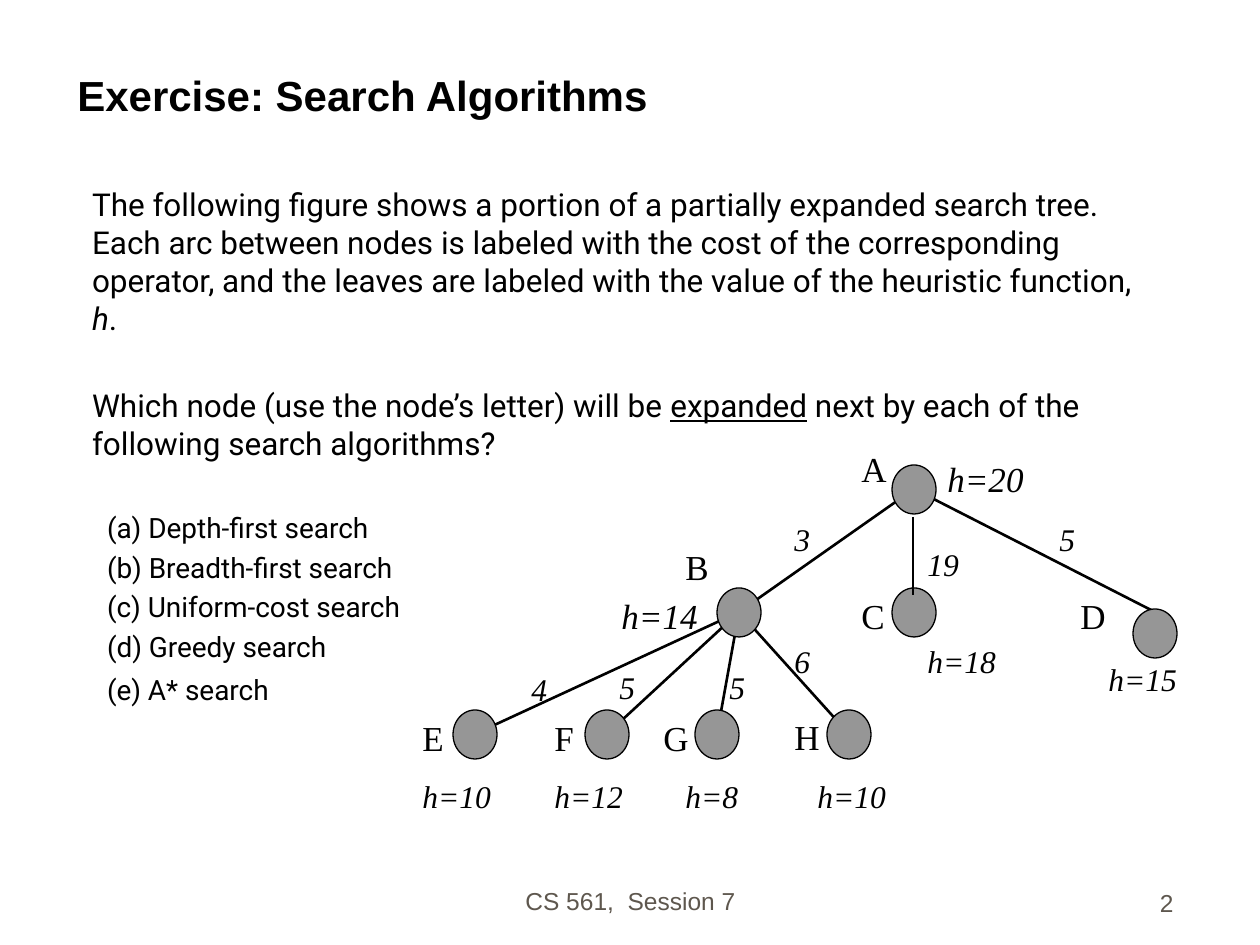
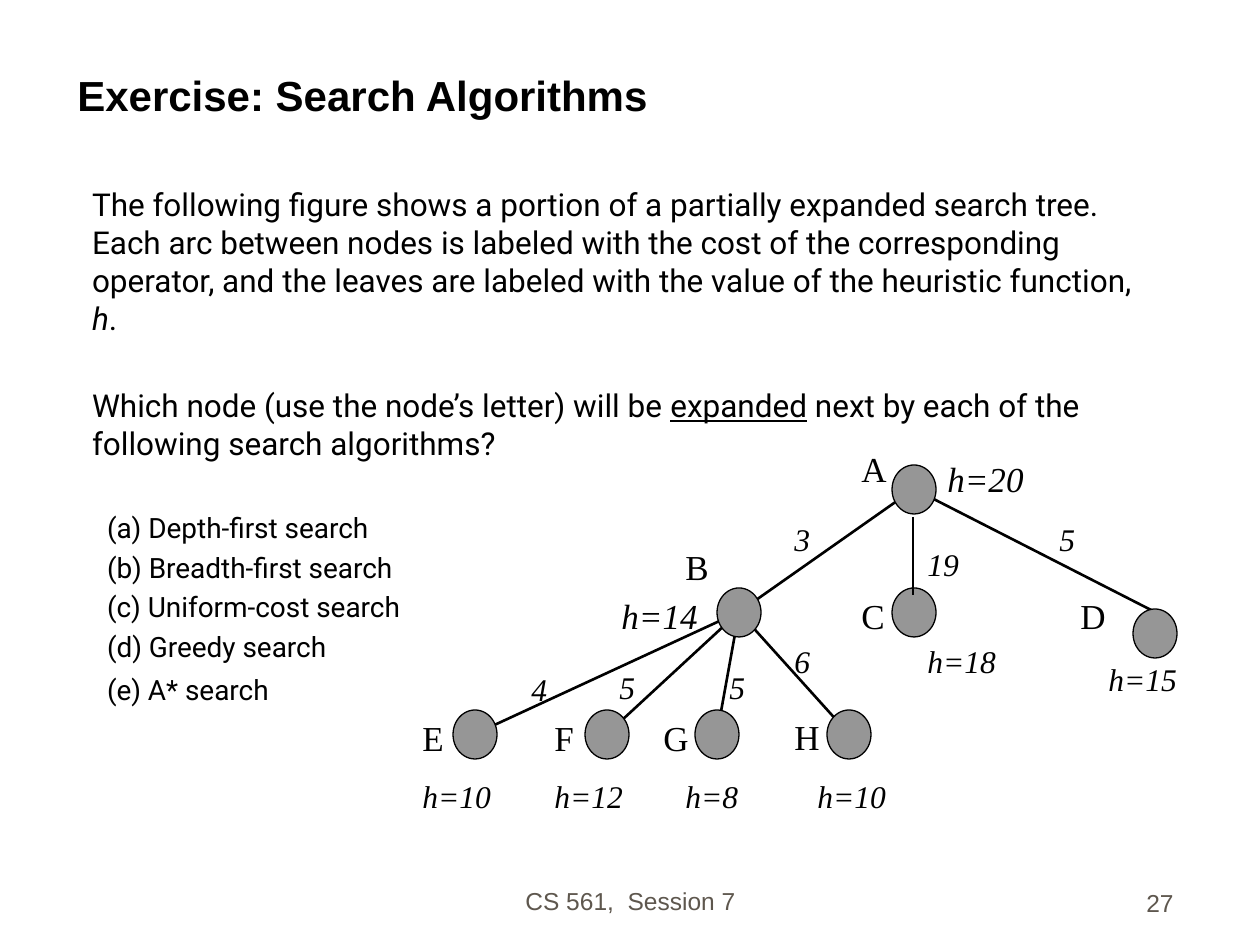
from dataclasses import dataclass

from lxml import etree
from pptx import Presentation
from pptx.dml.color import RGBColor
from pptx.enum.shapes import MSO_CONNECTOR, MSO_SHAPE
from pptx.enum.text import MSO_ANCHOR, PP_ALIGN
from pptx.oxml.ns import qn
from pptx.util import Emu, Pt

LEFT, CENTER, RIGHT = PP_ALIGN.LEFT, PP_ALIGN.CENTER, PP_ALIGN.RIGHT
TOP, BOTTOM = MSO_ANCHOR.TOP, MSO_ANCHOR.BOTTOM
RECT, OVAL = MSO_SHAPE.RECTANGLE, MSO_SHAPE.OVAL
STRAIGHT = MSO_CONNECTOR.STRAIGHT

SCALE = 914400 / 126
WIDE, HIGH = 1260, 945
HUES = {"ink": "000000", "paper": "FFFFFF", "node": "969696", "foot": "5E574E"}
SANS, BODY, SERIF = "Arial", "Roboto", "Times New Roman"
NODE_W, NODE_H = 44, 49
TAG_W, TAG_H = 66, 73
HINT_W = 132


@dataclass(frozen=True)
class Node:
    left: int
    top: int

    def mid(self) -> tuple[int, int]:
        return self.left + NODE_W // 2, self.top + NODE_H // 2


@dataclass(frozen=True)
class Edge:
    start: str
    end: str
    lift: int = 0


@dataclass(frozen=True)
class Tag:
    text: str
    left: int
    top: int
    wide: int = TAG_W
    size: int = 18
    slant: bool = True


@dataclass(frozen=True)
class Item:
    runs: tuple
    size: int
    before: float = 0
    indent: int = 0


NODES = {
    "A": Node(892, 465),
    "B": Node(717, 588),
    "C": Node(892, 588),
    "D": Node(1133, 609),
    "E": Node(453, 710),
    "F": Node(585, 710),
    "G": Node(695, 710),
    "H": Node(827, 710),
}
EDGES = [Edge("A", "B"), Edge("A", "D", 21)] + [Edge("B", leaf) for leaf in "EFGH"]
COSTS = [
    Tag("3", 782, 514), Tag("19", 915, 539), Tag("5", 1047, 514),
    Tag("4", 519, 664), Tag("5", 607, 662), Tag("5", 717, 662), Tag("6", 782, 636),
]
NAMES = [
    Tag(text, left, top, size=20, slant=False)
    for text, left, top in [
        ("A", 849, 441), ("B", 673, 539), ("C", 849, 588), ("D", 1068, 588),
        ("E", 410, 710), ("F", 542, 710), ("G", 651, 710),
    ]
]
HINTS = [
    Tag("h=18", 915, 636, HINT_W), Tag("h=15", 1096, 654, HINT_W),
    Tag("h=10", 410, 771, HINT_W), Tag("h=12", 542, 771, 110),
    Tag("h=8", 673, 771, HINT_W), Tag("h=10", 805, 771, HINT_W),
]
LOOSE = [
    Tag("H", 782, 709, 50, 20, False),
    Tag("h=20", 935, 451, 102, 20),
    Tag("h=14", 609, 588, 102, 20),
]
TASKS = [
    ("(a) Depth-first search", 28),
    ("(b) Breadth-first search", 3.4),
    ("(c) Uniform-cost search", 3.4),
    ("(d) Greedy search", 3.4),
    ("(e) A* search", 5.5),
]
ITEMS = [
    Item((
        ("The following figure shows a portion of a partially expanded search tree. "
         "Each arc between nodes is labeled with the cost of the corresponding operator, "
         "and the leaves are labeled with the value of the heuristic function, ", {}),
        ("h", {"slant": True}),
        (".", {}),
    ), 18),
    Item((
        ("Which node (use the node’s letter) will be ", {}),
        ("expanded", {"under": True}),
        (" next by each of the following search algorithms?", {}),
    ), 18, 28.5),
] + [Item(((text, {}),), 16, gap, 15) for text, gap in TASKS]


def px(count: int) -> Emu:
    return Emu(round(count * SCALE))


def hue(name: str) -> RGBColor:
    return RGBColor.from_string(HUES[name])


def write(par, text: str, *, size: int, face: str, color: str = "ink",
          bold: bool = False, slant: bool = False, under: bool = False,
          align=LEFT) -> None:
    par.alignment = align
    run = par.add_run()
    run.text = text
    font = run.font
    font.size, font.name = Pt(size), face
    font.bold, font.italic, font.underline = bold, slant, under
    font.color.rgb = hue(color)


def draw_box(slide, left: int, top: int, wide: int, high: int, anchor=TOP,
             wrap: bool = True):
    box = slide.shapes.add_textbox(px(left), px(top), px(wide), px(high))
    box.text_frame.word_wrap = wrap
    box.text_frame.vertical_anchor = anchor
    return box.text_frame


def draw_shape(slide, kind, left: int, top: int, wide: int, high: int, fill: str):
    shape = slide.shapes.add_shape(kind, px(left), px(top), px(wide), px(high))
    shape.shadow.inherit = False
    shape.fill.solid()
    shape.fill.fore_color.rgb = hue(fill)
    return shape


def draw_tag(slide, tag: Tag) -> None:
    shape = draw_shape(slide, RECT, tag.left, tag.top, tag.wide, TAG_H, "paper")
    shape.line.fill.background()
    shape.text_frame.word_wrap = True
    shape.text_frame.vertical_anchor = TOP
    write(shape.text_frame.paragraphs[0], tag.text, size=tag.size, face=SERIF,
          slant=tag.slant)


def draw_node(slide, node: Node) -> None:
    shape = draw_shape(slide, OVAL, node.left, node.top, NODE_W, NODE_H, "node")
    shape.line.color.rgb = hue("ink")
    shape.line.width = Pt(0.75)


def draw_line(slide, start: tuple[int, int], end: tuple[int, int]) -> None:
    line = slide.shapes.add_connector(STRAIGHT, *map(px, start + end))
    line.line.color.rgb = hue("ink")
    line.line.width = Pt(1.5)
    etree.SubElement(line._element.spPr, qn("a:effectLst"))


def draw_tree(slide) -> None:
    for tag in COSTS + NAMES + HINTS:
        draw_tag(slide, tag)
    for edge in EDGES:
        across, down = NODES[edge.end].mid()
        draw_line(slide, NODES[edge.start].mid(), (across, down - edge.lift))
    for node in NODES.values():
        draw_node(slide, node)
    draw_line(slide, (913, 517), (913, 595))
    for tag in LOOSE:
        frame = draw_box(slide, tag.left, tag.top, tag.wide, 54, wrap=False)
        write(frame.paragraphs[0], tag.text, size=tag.size, face=SERIF,
              slant=tag.slant)


def draw_body(slide) -> None:
    frame = draw_box(slide, 32, 179, 1126, 656)
    frame.margin_left = px(60)
    for rank, item in enumerate(ITEMS):
        par = frame.add_paragraph() if rank else frame.paragraphs[0]
        par.space_before = Pt(item.before)
        par._p.get_or_add_pPr().set("marL", str(px(item.indent)))
        for text, style in item.runs:
            write(par, text, size=item.size, face=BODY, **style)


def draw_frame(slide, page: int) -> None:
    foot = draw_box(slide, 431, 859, 399, 63, BOTTOM)
    write(foot.paragraphs[0], "CS 561,  Session 7", size=14, face=SANS,
          color="foot", align=CENTER)
    count = draw_box(slide, 924, 861, 262, 63, BOTTOM)
    write(count.paragraphs[0], str(page), size=14, face=SANS, color="foot",
          align=RIGHT)
    title = draw_box(slide, 65, 31, 1124, 95, BOTTOM)
    write(title.paragraphs[0], "Exercise: Search Algorithms", size=24, face=SANS,
          bold=True)


def main() -> None:
    deck = Presentation()
    deck.slide_width, deck.slide_height = px(WIDE), px(HIGH)
    for page in (2, 27):
        slide = deck.slides.add_slide(deck.slide_layouts[6])
        slide.background.fill.solid()
        slide.background.fill.fore_color.rgb = hue("paper")
        draw_frame(slide, page)
        draw_body(slide)
        draw_tree(slide)
    deck.save("out.pptx")


if __name__ == "__main__":
    main()
